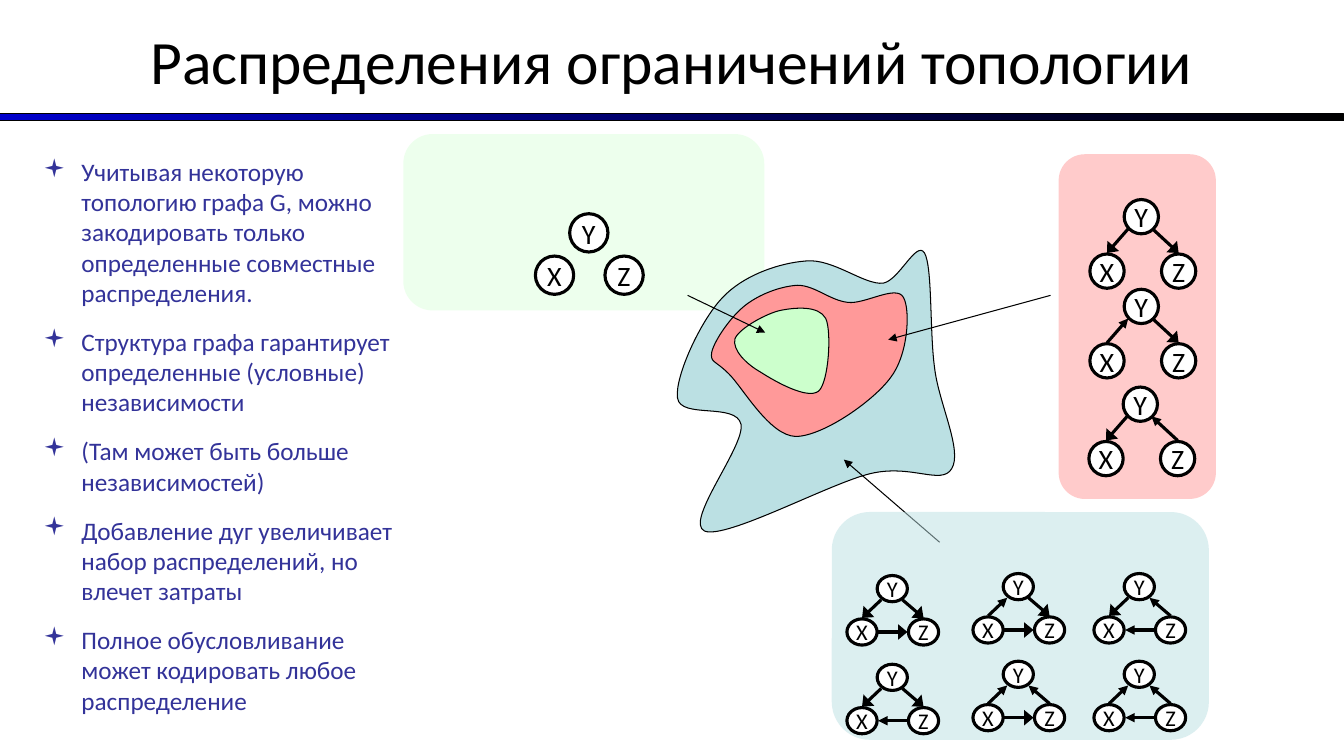
"""Build the slide on how graph topology limits the encodable distributions."""
from dataclasses import dataclass

from lxml.etree import SubElement
from pptx import Presentation
from pptx.dml.color import RGBColor as Rgb
from pptx.enum.shapes import MSO_CONNECTOR as Connector, MSO_SHAPE as Preset
from pptx.enum.text import MSO_ANCHOR as Anchor, PP_ALIGN as Align
from pptx.oxml.ns import qn
from pptx.util import Inches, Pt


@dataclass(frozen=True)
class Theme:
    font: str = "Calibri"
    bullet_font: str = "Wingdings"
    ink: Rgb = Rgb(0, 0, 0)
    paper: Rgb = Rgb(0xFF, 0xFF, 0xFF)
    bar: Rgb = Rgb(0, 0, 0xCC)
    body: Rgb = Rgb(0x33, 0x33, 0x99)
    green: Rgb = Rgb(0xCC, 0xFF, 0xCC)
    red: Rgb = Rgb(0xFF, 0x99, 0x99)
    teal: Rgb = Rgb(0xBB, 0xE0, 0xE3)
    title_size: Pt = Pt(44)
    body_size: Pt = Pt(18)
    body_gap: Pt = Pt(13.4)
    node_size: Pt = Pt(20)
    small_node_size: Pt = Pt(16)
    thin: Pt = Pt(0.75)
    thick: Pt = Pt(2.25)


theme = Theme()
deck = Presentation()
deck.slide_width, deck.slide_height = Inches(13.33), Inches(7.5)
slide = deck.slides.add_slide(deck.slide_layouts[6])
shapes = slide.shapes


def add_panel(box, color, opacity):
    panel = shapes.add_shape(Preset.ROUNDED_RECTANGLE, *map(Inches, box))
    panel.shadow.inherit = False
    panel.fill.solid()
    panel.fill.fore_color.rgb = color
    panel.line.fill.background()
    tint = panel.element.spPr.find(".//" + qn("a:srgbClr"))
    SubElement(tint, qn("a:alpha"), val=str(opacity * 1000))


def add_arrow(start, end, width, head="med"):
    arrow = shapes.add_connector(Connector.STRAIGHT, *map(Inches, (*start, *end)))
    arrow.line.color.rgb = theme.ink
    arrow.line.width = width
    outline = arrow._element.spPr.find(qn("a:ln"))
    SubElement(outline, qn("a:tailEnd"), type="triangle", w=head, len="med")
    SubElement(arrow._element.spPr, qn("a:effectLst"))


bar = shapes.add_shape(Preset.RECTANGLE, 0, Inches(1.13), deck.slide_width, Inches(0.07))
bar.shadow.inherit = False
bar.fill.gradient()
bar.fill.gradient_angle = 0
for stop, color in zip(bar.fill.gradient_stops, (theme.bar, theme.ink)):
    stop.color.rgb = color
bar.line.color.rgb = theme.ink
bar.line.width = theme.thin

add_panel((4, 1.33, 3.58, 1.75), theme.green, 34)

title = shapes.add_textbox(0, Inches(-0.03), deck.slide_width, Inches(1.25)).text_frame
title.word_wrap = True
title.vertical_anchor = Anchor.MIDDLE
heading = title.paragraphs[0]
heading.text = "Распределения ограничений топологии"
heading.alignment = Align.CENTER
heading.font.name, heading.font.size = theme.font, theme.title_size
heading.font.color.rgb = theme.ink

points = [
    "Учитывая некоторую топологию графа G, можно закодировать только "
    "определенные совместные распределения.",
    "Структура графа гарантирует определенные (условные) независимости",
    "(Там может быть больше независимостей)",
    "Добавление дуг увеличивает набор распределений, но влечет затраты",
    "Полное обусловливание может кодировать любое распределение",
]
body = shapes.add_textbox(*map(Inches, (0.33, 1.5, 3.83, 5.67))).text_frame
body.word_wrap = True
for index, text in enumerate(points):
    point = body.add_paragraph() if index else body.paragraphs[0]
    point.text = text
    if index:
        point.space_before = theme.body_gap
    props = point._p.get_or_add_pPr()
    props.set("marL", str(Inches(0.38)))
    props.set("indent", str(Inches(-0.38)))
    SubElement(props, qn("a:buFont"), typeface=theme.bullet_font)
    SubElement(props, qn("a:buChar"), char="▪")
    point.font.name, point.font.size = theme.font, theme.body_size
    point.font.color.rgb = theme.body

regions = [
    (theme.teal, (8.76, 2.81), [
        (8.57, 2.83), (8.26, 2.56), (7.99, 2.59), (7.73, 2.61), (7.37, 2.73), (7.16, 2.96),
        (6.95, 3.18), (6.69, 3.74), (6.72, 3.95), (6.75, 4.16), (7.3, 3.99), (7.35, 4.21),
        (7.39, 4.43), (6.78, 5.18), (6.99, 5.27), (7.21, 5.35), (8.22, 4.8), (8.63, 4.7),
        (9.04, 4.6), (9.34, 4.82), (9.44, 4.65), (9.55, 4.47), (9.31, 4), (9.27, 3.65),
        (9.22, 3.29), (9.25, 2.65), (9.17, 2.51), (9.09, 2.38), (8.92, 2.78), (8.76, 2.81)]),
    (theme.red, (7.23, 3.71), [
        (7.37, 3.85), (7.63, 4.32), (7.89, 4.33), (8.16, 4.33), (8.66, 3.98), (8.83, 3.75),
        (9.01, 3.52), (9.03, 3.07), (8.96, 2.95), (8.89, 2.82), (8.58, 3.02), (8.41, 3),
        (8.23, 2.98), (8.08, 2.83), (7.91, 2.83), (7.74, 2.84), (7.53, 2.92), (7.39, 3.03),
        (7.25, 3.14), (7.09, 3.37), (7.06, 3.49), (7.04, 3.6), (7.09, 3.57), (7.23, 3.71)]),
    (theme.green, (7.74, 3.08), [
        (7.6, 3.11), (7.33, 3.26), (7.29, 3.36), (7.26, 3.47), (7.4, 3.61), (7.54, 3.69),
        (7.68, 3.78), (8.01, 3.97), (8.12, 3.88), (8.22, 3.79), (8.25, 3.29), (8.19, 3.16),
        (8.12, 3.03), (7.89, 3.05), (7.74, 3.08)]),
]
for color, start, controls in regions:
    builder = shapes.build_freeform(*map(Inches, start))
    builder.add_line_segments([tuple(map(Inches, spot)) for spot in controls], close=True)
    region = builder.convert_to_shape()
    segments = list(region.element.iter(qn("a:lnTo")))
    for first in range(0, len(controls), 3):
        curve, *merged = segments[first:first + 3]
        curve.tag = qn("a:cubicBezTo")
        for segment in merged:
            curve.append(segment[0])
            segment.getparent().remove(segment)
    region.shadow.inherit = False
    region.fill.solid()
    region.fill.fore_color.rgb = color
    region.line.color.rgb = theme.ink
    region.line.width = theme.thin

for start, end in [((6.82, 2.93), (7.59, 3.3)), ((9.32, 5.38), (8.37, 4.56)),
                   ((10.42, 2.93), (8.81, 3.37))]:
    add_arrow(start, end, theme.thin)

add_panel((10.5, 1.53, 1.56, 3.42), theme.red, 50)
add_panel((8.25, 5.08, 3.74, 2.26), theme.teal, 50)

independent = dict(
    node=(0.38, 0.38), size=theme.node_size, arcs={},
    places={"X": (0, 0.42), "Y": (0.34, 0), "Z": (0.69, 0.42)})
chain = dict(
    node=(0.34, 0.34), size=theme.node_size,
    places={"X": (0, 0.54), "Y": (0.34, 0), "Z": (0.71, 0.54)},
    arcs={"YX": ((0.38, 0.29), (0.17, 0.53)), "YZ": ((0.62, 0.29), (0.88, 0.53))})
full = dict(
    node=(0.3, 0.26), size=theme.small_node_size,
    places={"X": (0, 0.43), "Y": (0.3, 0), "Z": (0.61, 0.43)},
    arcs={"YX": ((0.34, 0.24), (0.15, 0.42)), "YZ": ((0.55, 0.24), (0.76, 0.42)),
          "XZ": ((0.31, 0.56), (0.6, 0.56))})
graphs = [
    (independent, 5.31, 2.12, ""),
    (chain, 10.81, 1.98, "YX YZ"),
    (chain, 10.81, 2.87, "XY YZ"),
    (chain, 10.8, 3.84, "YX ZY"),
    (full, 8.4, 5.71, "YX YZ XZ"),
    (full, 9.65, 5.69, "XY YZ XZ"),
    (full, 10.85, 5.69, "YX ZY ZX"),
    (full, 8.4, 6.59, "YX YZ ZX"),
    (full, 9.65, 6.56, "XY ZY XZ"),
    (full, 10.85, 6.56, "XY ZY ZX"),
]
for kind, left, top, arcs in graphs:
    for letter, (dx, dy) in kind["places"].items():
        node = shapes.add_shape(
            Preset.OVAL, *map(Inches, (left + dx, top + dy, *kind["node"])))
        node.shadow.inherit = False
        node.fill.solid()
        node.fill.fore_color.rgb = theme.paper
        node.line.color.rgb = theme.ink
        node.line.width = theme.thick
        node.text_frame.word_wrap = False
        node.text_frame.vertical_anchor = Anchor.MIDDLE
        label = node.text_frame.paragraphs[0]
        label.text = letter
        label.alignment = Align.CENTER
        label.font.name, label.font.size = theme.font, kind["size"]
        label.font.color.rgb = theme.ink
    for arc in arcs.split():
        forward = arc in kind["arcs"]
        ends = kind["arcs"][arc] if forward else kind["arcs"][arc[::-1]][::-1]
        start, end = [(left + dx, top + dy) for dx, dy in ends]
        add_arrow(start, end, theme.thick, "lg" if forward else "med")

deck.save("out.pptx")
